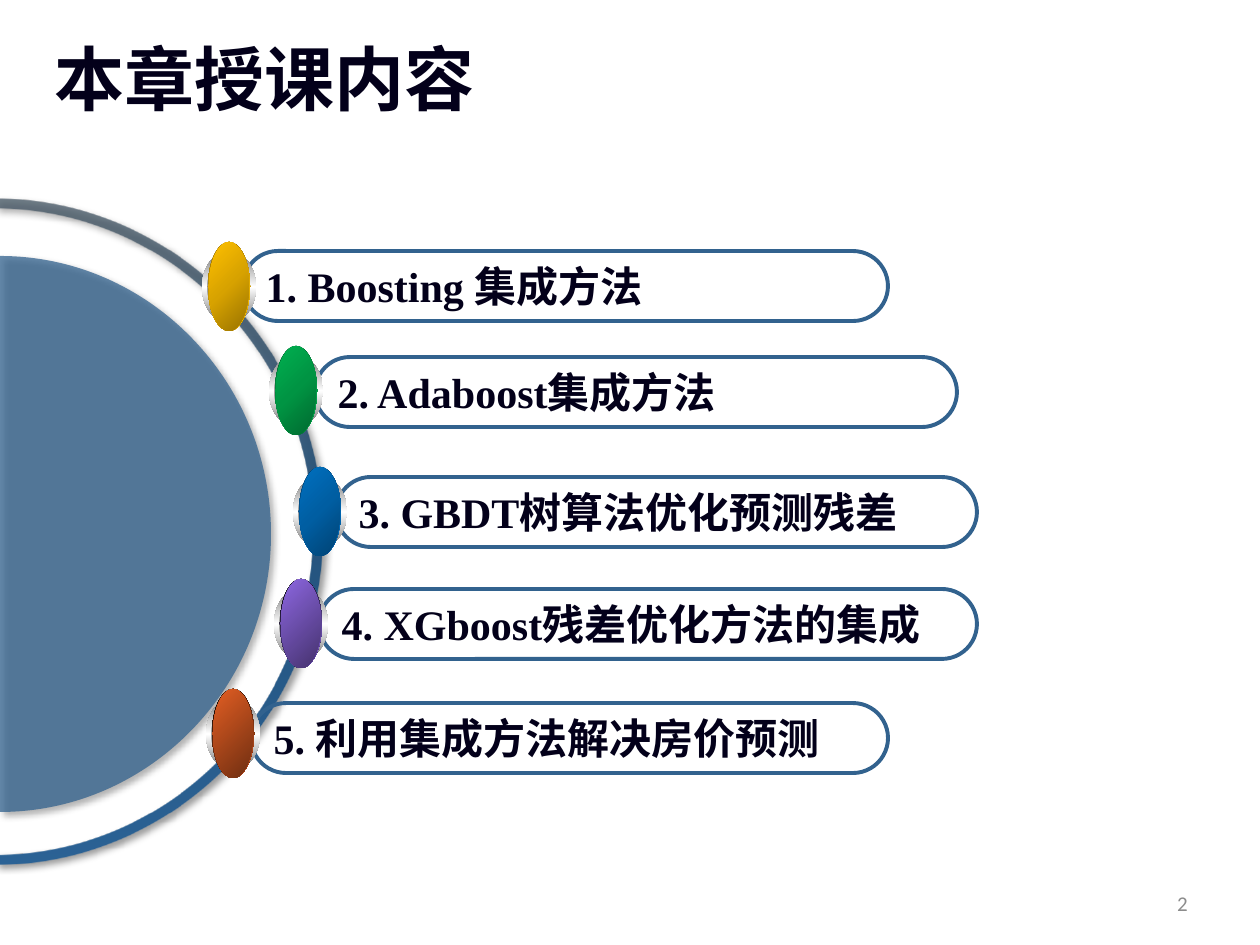
from dataclasses import dataclass

from lxml import etree
from pptx import Presentation
from pptx.dml.color import RGBColor
from pptx.enum.shapes import MSO_SHAPE
from pptx.enum.text import MSO_ANCHOR, PP_ALIGN
from pptx.oxml.ns import qn
from pptx.util import Emu, Pt

PILL, OVAL = MSO_SHAPE.ROUNDED_RECTANGLE, MSO_SHAPE.OVAL
LEFT, RIGHT = PP_ALIGN.LEFT, PP_ALIGN.RIGHT
TOP, MIDDLE = MSO_ANCHOR.TOP, MSO_ANCHOR.MIDDLE
SCALE = 914400 / 126
CURVE = 0.55


@dataclass(frozen=True)
class Theme:
    ink: str = "03001A"
    blue: str = "32628E"
    grey: str = "8C8C8C"
    ring: tuple = ("445462", "24537D", "2B6295")
    rim: tuple = ("767676", "FFFFFF", "767676")
    cup: tuple = ("A2A2A2", "FFFFFF", "A2A2A2")
    latin: str = "Times New Roman"
    han: str = "Noto Sans CJK SC"
    plain: str = "Calibri"
    title: int = 40
    item: int = 24
    page: int = 12


THEME = Theme()


@dataclass(frozen=True)
class Item:
    runs: tuple
    x: int
    y: int
    wide: int
    knob_x: int
    knob_y: int
    face: tuple
    back: tuple
    bound: bool = True


@dataclass(frozen=True)
class Frame:
    x: int
    y: int
    wide: int
    high: int


GOLD = ("FFC000", "D7A200", "977200")
GREEN = ("00B050", "009443", "00682F")
BLUE = ("0070C0", "005EA2", "004272")
ITEMS = [
    Item((("1. Boosting ", THEME.latin), ("集成方法", THEME.han)),
         243, 251, 645, 202, 251, GOLD, GOLD[::-1]),
    Item((("2. Adaboost集成方法", THEME.latin),),
         315, 357, 642, 269, 355, GREEN, GREEN[::-1]),
    Item((("3. GBDT树算法优化预测残差", THEME.latin),),
         336, 477, 641, 293, 476, BLUE, BLUE[::-1]),
    Item((("4. XGboost残差优化方法的集成", THEME.latin),),
         319, 589, 658, 274, 588, ("8D67E1", "45326D"), ("000000", "8D67E1"), False),
    Item((("5. 利用集成方法解决房价预测", THEME.latin),),
         251, 703, 637, 206, 698, ("E35E23", "6E2E11"), ("000000", "E35E23")),
]


def px(size: float) -> Emu:
    return Emu(round(size * SCALE))


def tint(parent, code: str, alpha: int = 100) -> None:
    color = etree.SubElement(parent, qn("a:srgbClr"), val=code)
    if alpha < 100:
        etree.SubElement(color, qn("a:alpha"), val=str(alpha * 1000))


def blend(shape, tones: tuple, angle: int, alpha: int = 100) -> None:
    shape.fill.background()
    props = shape._element.spPr
    grad = etree.Element(qn("a:gradFill"), rotWithShape="1")
    stops = etree.SubElement(grad, qn("a:gsLst"))
    for n, tone in enumerate(tones):
        place = str(100000 * n // (len(tones) - 1))
        stop = etree.SubElement(stops, qn("a:gs"), pos=place)
        tint(stop, tone, 100 if n else alpha)
    etree.SubElement(grad, qn("a:lin"), ang=str(angle * 60000), scaled="0")
    props.replace(props.find(qn("a:noFill")), grad)


def shade(shape) -> None:
    shape.line.fill.background()
    shape.shadow.inherit = False
    glow = etree.SubElement(
        shape._element.spPr.find(qn("a:effectLst")), qn("a:outerShdw"),
        blurRad=str(Pt(4)), dist=str(Pt(3)), dir=str(45 * 60000))
    tint(glow, "000000", 40)


def write(para, text: str, font: str, size: int, color: str, bold: bool = True) -> None:
    run = para.add_run()
    run.text = text
    run.font.name = font
    run.font.size = Pt(size)
    run.font.bold = bold
    run.font.color.rgb = RGBColor.from_string(color)
    etree.SubElement(run._r.get_or_add_rPr(), qn("a:ea"), typeface=THEME.han)


def arc(mid: float, long: float, deep: float) -> list:
    bend, sag = long * CURVE, deep * CURVE
    return [(mid - long, 0), (mid - long, sag), (mid - bend, deep), (mid, deep),
            (mid + bend, deep), (mid + long, sag), (mid + long, 0)]


def trace(slide, frame: Frame, arcs: list):
    pen = slide.shapes.build_freeform(0, 0)
    pen.add_line_segments([(px(frame.wide), px(frame.high))], close=True)
    shape = pen.convert_to_shape()
    shape.left, shape.top, shape.rotation = px(frame.x), px(frame.y), 90
    path = next(shape._element.iter(qn("a:path")))
    for step in list(path):
        path.remove(step)

    def add(tag: str, points: list) -> None:
        step = etree.SubElement(path, qn(tag))
        for x, y in points:
            etree.SubElement(step, qn("a:pt"), x=str(px(x)),
                             y=str(px(frame.high / 2 - y)))

    for n, points in enumerate(arcs):
        add("a:lnTo" if n else "a:moveTo", points[:1])
        add("a:cubicBezTo", points[1:4])
        add("a:cubicBezTo", points[4:])
    etree.SubElement(path, qn("a:close"))
    shade(shape)
    return shape


def draw_dial(slide) -> None:
    hoop = Frame(-338, 199, 665, 665)
    ring = trace(slide, hoop, [arc(332.5, 322.5, 318), arc(332.5, 332.5, 328)[::-1]])
    blend(ring, THEME.ring, 0, 75)
    disc = trace(slide, Frame(-278, 263, 556, 542), [arc(278, 278, 271)])
    disc.fill.solid()
    disc.fill.fore_color.rgb = RGBColor.from_string(THEME.blue)
    color = disc._element.spPr.find(qn("a:solidFill"))[0]
    etree.SubElement(color, qn("a:alpha"), val="75000")


def draw_pill(slide, item: Item) -> None:
    pill = slide.shapes.add_shape(PILL, px(item.x), px(item.y), px(item.wide), px(70))
    pill.adjustments[0] = 0.5
    pill.shadow.inherit = False
    pill.fill.background()
    pill.line.color.rgb = RGBColor.from_string(THEME.blue)
    pill.line.width = Pt(2.25)
    frame = pill.text_frame
    frame.word_wrap = False
    frame.vertical_anchor = MIDDLE
    para = frame.paragraphs[0]
    para.alignment = LEFT
    for text, font in item.runs:
        write(para, text, font, THEME.item, THEME.ink)


def draw_knob(slide, item: Item) -> None:
    layers = [
        (0, 0, 54, 72, THEME.rim, 90),
        (5, 8, 43, 57, THEME.cup, 0),
        (6, -9, 42, 89, item.back, 45),
        (7, -9, 40, 89, item.face, 45),
    ]
    shapes = slide.shapes.add_group_shape().shapes if item.bound else slide.shapes
    for x, y, wide, high, tones, angle in layers:
        oval = shapes.add_shape(
            OVAL, px(item.knob_x + x), px(item.knob_y + y), px(wide), px(high))
        oval.shadow.inherit = False
        oval.line.fill.background()
        blend(oval, tones, angle)


def draw_title(slide) -> None:
    title = slide.shapes.title
    title.left, title.top, title.width, title.height = map(px, (42, 45, 1134, 118))
    title.text_frame.vertical_anchor = TOP
    para = title.text_frame.paragraphs[0]
    para.alignment = LEFT
    para.line_spacing = 0.8
    write(para, "本章授课内容", THEME.han, THEME.title, THEME.ink)


def draw_page(slide) -> None:
    box = slide.shapes.add_textbox(px(906), px(878), px(294), px(50))
    box.text_frame.word_wrap = True
    box.text_frame.vertical_anchor = MIDDLE
    para = box.text_frame.paragraphs[0]
    para.alignment = RIGHT
    write(para, "2", THEME.plain, THEME.page, THEME.grey, False)


def main() -> None:
    deck = Presentation()
    deck.slide_width, deck.slide_height = px(1260), px(945)
    slide = deck.slides.add_slide(deck.slide_layouts[5])
    draw_page(slide)
    draw_title(slide)
    draw_dial(slide)
    for item in reversed(ITEMS):
        draw_pill(slide, item)
    for item in reversed(ITEMS):
        draw_knob(slide, item)
    deck.save("out.pptx")


if __name__ == "__main__":
    main()
